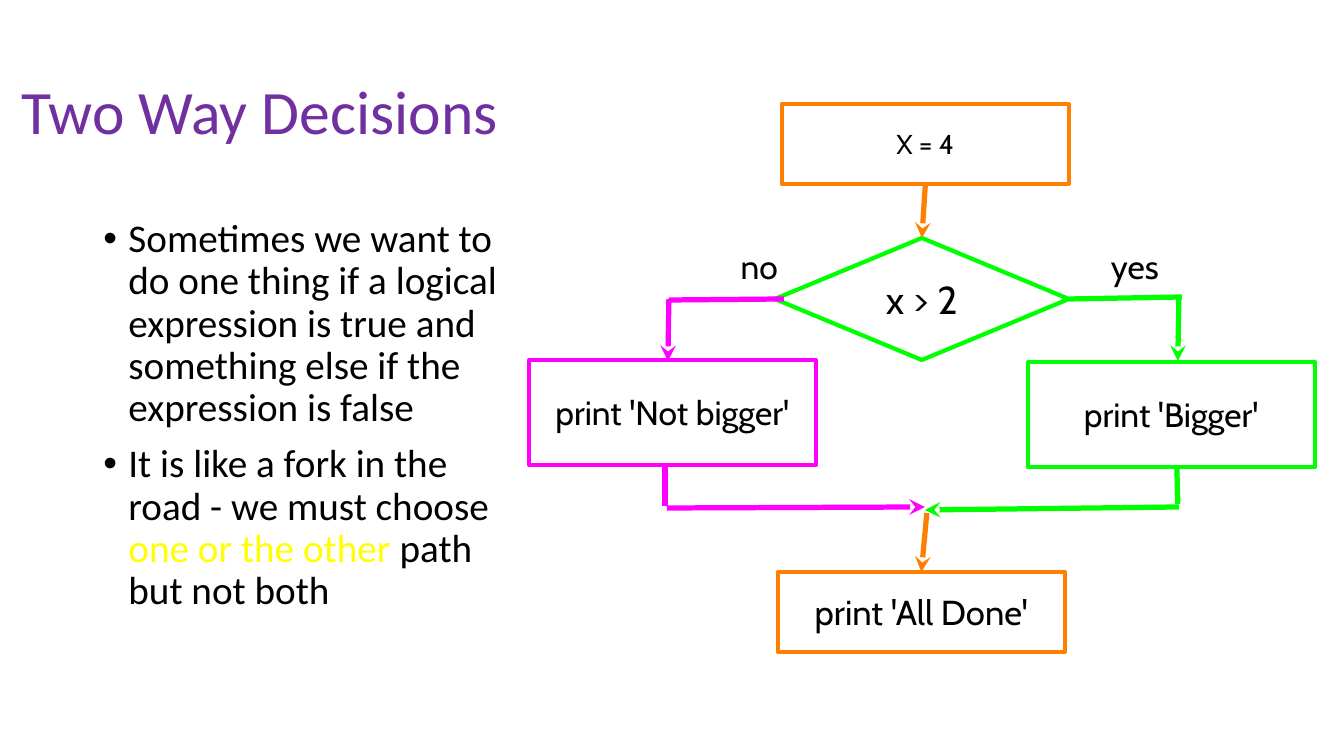
from lxml import etree
from pptx import Presentation
from pptx import util as u
from pptx.dml.color import RGBColor
from pptx.enum import shapes, text
from pptx.oxml.ns import qn

PX = 12095  # EMU in one px
COLORS = {
    "title": "7030A0", "text": "000000", "accent": "FFFF00",
    "main": "FF7F00", "yes": "00FF00", "no": "FF00FF",
}
BOTTOM, TOP, RIGHT = 2, 0, 3


def px(*values):
    return [u.Emu(v * PX) for v in values]


class FlowSlide:
    """Style of the slide and one method for each kind of element."""
    heading_font, flow_font = "Calibri", "Cabin"
    box_line, arrow_line = u.Pt(4), u.Pt(5)

    def __init__(self, prs):
        self.slide = prs.slides.add_slide(prs.slide_layouts[5])
        self.shapes = self.slide.shapes

    def run(self, p, words, size, font, color="text"):
        r = p.add_run()
        r.text = words
        r.font.size, r.font.name = u.Pt(size), font
        r.font.color.rgb = RGBColor.from_string(COLORS[color])

    def title(self, words, size, *place):
        sp = self.shapes.title
        sp.left, sp.top, sp.width, sp.height = px(*place)
        tf = sp.text_frame
        tf.auto_size = text.MSO_AUTO_SIZE.NONE
        tf.vertical_anchor = text.MSO_ANCHOR.MIDDLE
        p = tf.paragraphs[0]
        p.alignment, p.line_spacing = text.PP_ALIGN.LEFT, 0.9
        self.run(p, words, size, self.heading_font, "title")

    def bullets(self, items, size, *place):
        tf = self.shapes.add_textbox(*px(*place)).text_frame
        tf.word_wrap = True
        for i, runs in enumerate(items):
            p = tf.add_paragraph() if i else tf.paragraphs[0]
            pPr = p._p.get_or_add_pPr()
            pPr.set("marL", str(62 * PX))
            pPr.set("indent", str(-25 * PX))
            etree.SubElement(pPr, qn("a:buFont")).set("typeface", "Arial")
            etree.SubElement(pPr, qn("a:buChar")).set("char", "•")
            p.line_spacing = 0.9
            p.space_before = u.Pt(13.3 if i else 0)
            for words, color in runs:
                self.run(p, words, size, self.heading_font, color)

    def centered(self, sp, words, size):
        tf = sp.text_frame
        tf.margin_left = tf.margin_right = tf.margin_top = tf.margin_bottom = 0
        tf.vertical_anchor = text.MSO_ANCHOR.MIDDLE
        p = tf.paragraphs[0]
        p.alignment = text.PP_ALIGN.CENTER
        self.run(p, words, size, self.flow_font)

    def node(self, words, size, color, *place, kind=shapes.MSO_SHAPE.RECTANGLE):
        sp = self.shapes.add_shape(kind, *px(*place))
        sp.shadow.inherit = False
        sp.fill.background()
        sp.line.color.rgb = RGBColor.from_string(COLORS[color])
        sp.line.width = self.box_line
        self.centered(sp, words, size)
        return sp

    def label(self, words, size, *place):
        sp = self.shapes.add_textbox(*px(*place))
        sp.text_frame.word_wrap = False
        self.centered(sp, words, size)

    def line(self, color, *ends, arrow=False, begin=None, end=None):
        cx = self.shapes.add_connector(shapes.MSO_CONNECTOR.STRAIGHT, *px(*ends))
        if begin:
            cx.begin_connect(*begin)
        if end:
            cx.end_connect(*end)
        cx.line.color.rgb = RGBColor.from_string(COLORS[color])
        cx.line.width = self.arrow_line
        if arrow:
            ln = cx.line._get_or_add_ln()
            etree.SubElement(ln, qn("a:tailEnd")).set("type", "stealth")
        etree.SubElement(cx._element.spPr, qn("a:effectLst"))


def main():
    prs = Presentation()
    prs.slide_width, prs.slide_height = u.Inches(17.78), u.Inches(10)
    s = FlowSlide(prs)

    # Title and explanation
    s.title("Two Way Decisions", 58.7, 14, 20, 543, 190)
    s.bullets([
        [("Sometimes we want to do one thing if a logical expression is true "
          "and something else if the expression is false", "text")],
        [("It is like a fork in the road - we must choose ", "text"),
         ("one or the other", "accent"),
         (" path but not both", "text")],
    ], 37.3, 59, 215, 454, 472)

    # Steps of the flowchart
    start = s.node("X = 4", 26, "main", 782, 104, 287, 80)
    test = s.node("x > 2", 37, "yes", 775, 238, 294, 122,
                  kind=shapes.MSO_SHAPE.DIAMOND)
    s.node("print 'Bigger'", 32, "yes", 1028, 362, 287, 105)
    s.node("print 'Not bigger'", 32, "no", 529, 360, 287, 105)
    done = s.node("print 'All Done'", 33, "main", 778, 572, 287, 80)
    s.label("yes", 32, 1109, 243, 52, 46)
    s.label("no", 32, 737, 243, 45, 46)

    # Yes branch
    s.line("yes", 1069, 298, 1182, 297, begin=(test, RIGHT))
    s.line("yes", 1179, 299, 1178, 361, arrow=True)
    s.line("yes", 1177, 466, 1178, 504)
    s.line("yes", 1179, 507, 925, 510, arrow=True)

    # No branch
    s.line("no", 784, 299, 669, 300)
    s.line("no", 669, 299, 668, 361, arrow=True)
    s.line("no", 665, 467, 665, 506)
    s.line("no", 667, 508, 925, 507, arrow=True)

    # Main path
    s.line("main", 925, 184, 922, 238, arrow=True,
           begin=(start, BOTTOM), end=(test, TOP))
    s.line("main", 927, 513, 922, 572, arrow=True, end=(done, TOP))

    prs.save("out.pptx")


if __name__ == "__main__":
    main()
